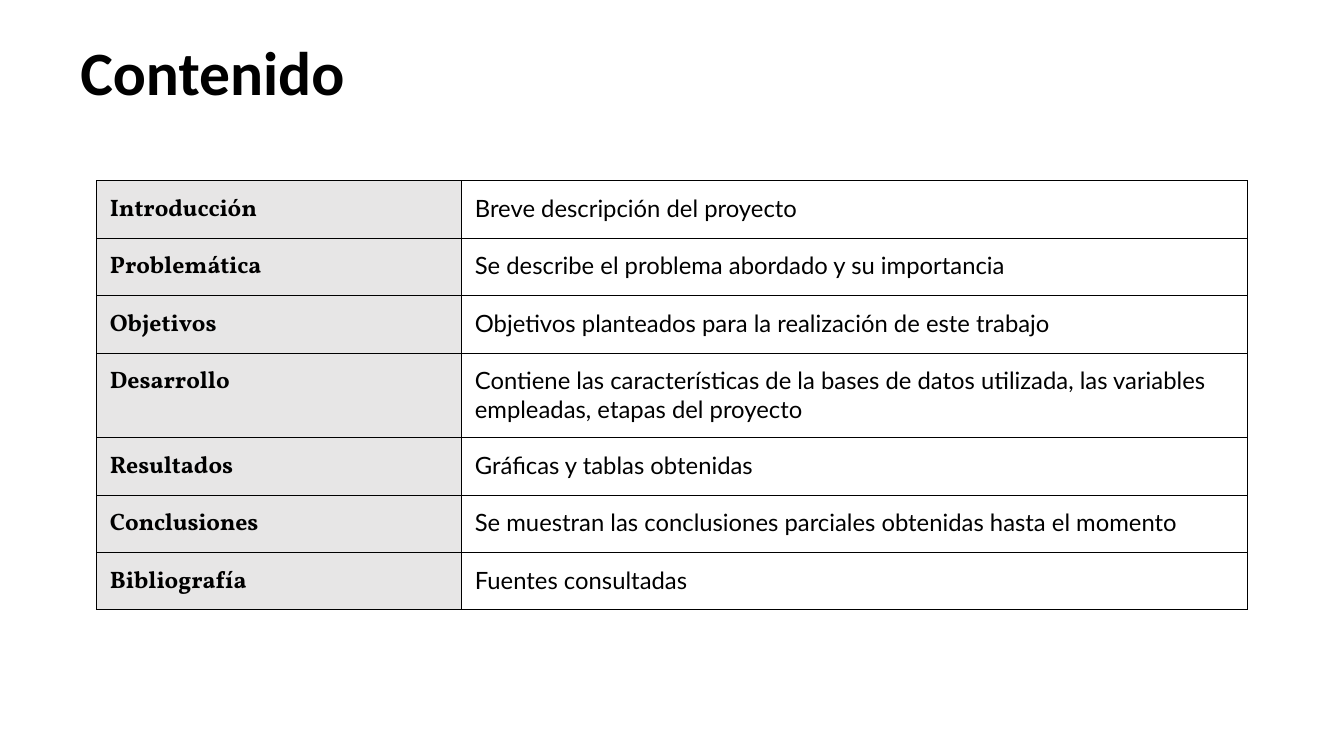
import pptx
import pptx.util
import pptx.dml.color
import pptx.enum.text
import pptx.oxml
import pptx.oxml.ns
import lxml.etree

RGB = pptx.dml.color.RGBColor
BLACK = RGB(0x00, 0x00, 0x00)
GREY = RGB(0xE7, 0xE6, 0xE6)
Inches, Pt = pptx.util.Inches, pptx.util.Pt

WIDE, HIGH = Inches(13.33), Inches(7.5)
PAD = Inches(0.13)
ROW = 0.57      # height of a one-line row
TALL = 0.84     # height of a two-line row
COLS = (3.62, 7.79)
LONG = 70       # letters that fit on one line

TOPICS = [
    ("Introducción", "Breve descripción del proyecto"),
    ("Problemática", "Se describe el problema abordado y su importancia"),
    ("Objetivos", "Objetivos planteados para la realización de este trabajo"),
    ("Desarrollo", "Contiene las características de la bases de datos utilizada, "
                   "las variables empleadas, etapas del proyecto"),
    ("Resultados", "Gráficas y tablas obtenidas"),
    ("Conclusiones", "Se muestran las conclusiones parciales obtenidas hasta el momento"),
    ("Bibliografía", "Fuentes consultadas"),
]


def style(para, face, size, bold):
    for run in para.runs:
        font = run.font
        font.name, font.size, font.bold = face, Pt(size), bold
        font.color.rgb = BLACK


def pad(item):
    item.margin_left = item.margin_right = PAD
    item.margin_top = item.margin_bottom = PAD


def border(cell):
    # Border lines come before the fill in the cell's properties
    props = cell._tc.get_or_add_tcPr()
    for spot, side in enumerate(("a:lnL", "a:lnR", "a:lnT", "a:lnB")):
        line = lxml.etree.Element(pptx.oxml.ns.qn(side), w=str(Pt(0.75)))
        fill = lxml.etree.SubElement(line, pptx.oxml.ns.qn("a:solidFill"))
        lxml.etree.SubElement(fill, pptx.oxml.ns.qn("a:srgbClr"), val=str(BLACK))
        props.insert(spot, line)


def title(slide, text):
    box = slide.shapes.add_textbox(WIDE * 0.05, HIGH * 0.039, WIDE * 0.302, HIGH * 0.112)
    frame = box.text_frame
    frame.word_wrap = True
    frame.vertical_anchor = pptx.enum.text.MSO_ANCHOR.TOP
    pad(frame)
    frame.text = text
    para = frame.paragraphs[0]
    para.line_spacing = 0.9
    style(para, "Calibri", 44, True)


def fill_cell(cell, text, face, bold, shade=None):
    pad(cell)
    cell.text = text
    para = cell.text_frame.paragraphs[0]
    style(para, face, 17, bold)
    if shade is None:
        cell.fill.background()
        para.space_after = Pt(16)
    else:
        cell.fill.solid()
        cell.fill.fore_color.rgb = shade
    border(cell)


def grid(slide, rows):
    highs = [TALL if len(note) > LONG else ROW for _, note in rows]
    frame = slide.shapes.add_table(len(rows), len(COLS), WIDE * 0.072, HIGH * 0.239,
                                   Inches(sum(COLS)), Inches(sum(highs)))
    table = frame.table
    table.first_row = table.horz_banding = False
    for col, wide in zip(table.columns, COLS):
        col.width = Inches(wide)
    for num, (topic, note) in enumerate(rows):
        table.rows[num].height = Inches(highs[num])
        fill_cell(table.cell(num, 0), topic, "Vollkorn", True, GREY)
        fill_cell(table.cell(num, 1), note, "Lato", False)


def main():
    deck = pptx.Presentation()
    deck.slide_width, deck.slide_height = WIDE, HIGH
    slide = deck.slides.add_slide(deck.slide_layouts[6])
    # Heading
    title(slide, "Contenido")
    # Table of contents
    grid(slide, TOPICS)
    deck.save("out.pptx")


if __name__ == "__main__":
    main()
